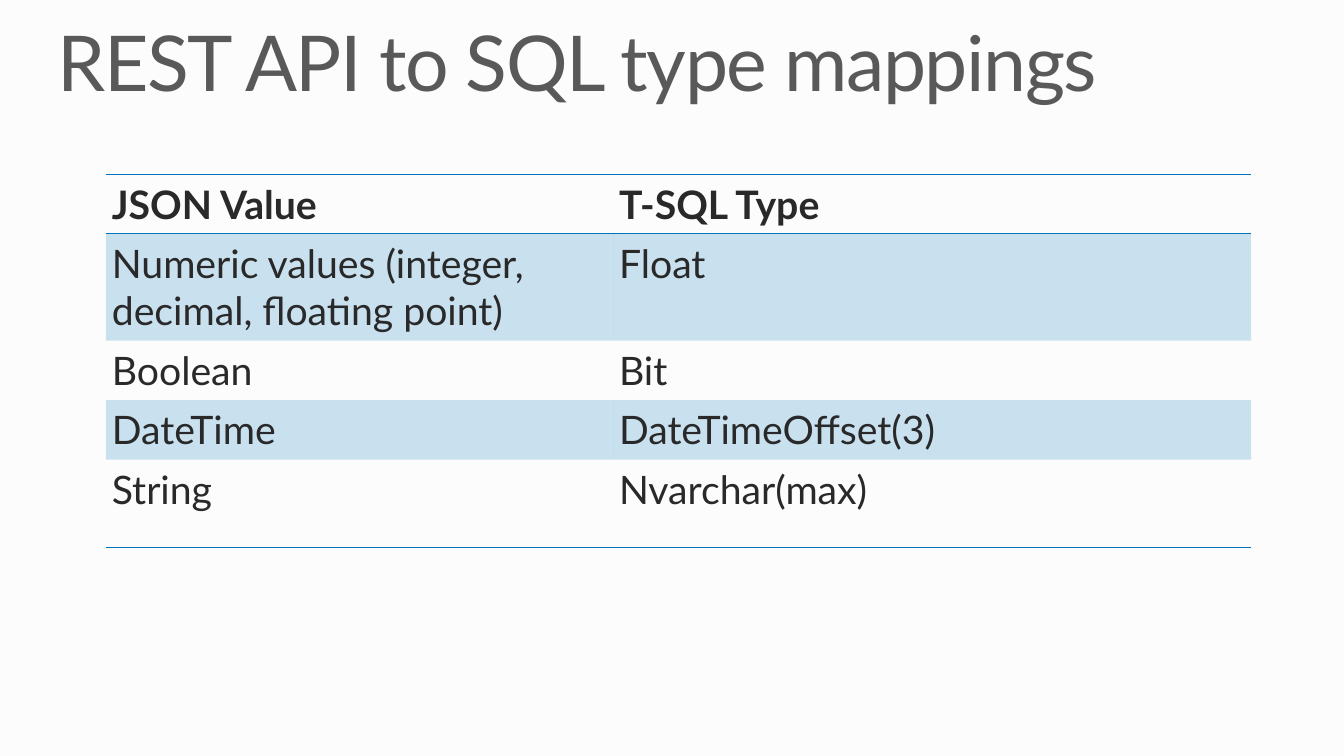
from lxml import etree
from pptx import Presentation
from pptx import util as u
from pptx.dml.color import RGBColor
from pptx.enum import text
from pptx.oxml import parse_xml
from pptx.oxml.ns import nsdecls, qn

PAPER = RGBColor(0xFC, 0xFC, 0xFC)
TITLE_GRAY = RGBColor(0x59, 0x59, 0x59)
INK = RGBColor(0x29, 0x29, 0x29)
BLUE = RGBColor(0x00, 0x71, 0xBC)

FONT = "Lato"
PLAIN_TABLE_STYLE = "{2D5ABB26-0587-4C30-8999-92F81FD0307C}"
COLUMN_WIDTHS = (5.03, 6.33)
ROW_HEIGHTS = (0.59, 1.06, 0.59, 0.59, 0.87)
CELL_INSET = u.Inches(0.06)
MAPPINGS = (
    ("JSON Value", "T-SQL Type"),
    ("Numeric values (integer, decimal, floating point)", "Float"),
    ("Boolean", "Bit"),
    ("DateTime", "DateTimeOffset(3)"),
    ("String", "Nvarchar(max)"),
)


def style_font(paragraph, size, color, bold=False):
    font = paragraph.font
    font.name, font.size, font.bold = FONT, u.Pt(size), bold
    font.color.rgb = color


def add_title(slide, wording):
    box = slide.shapes.add_textbox(
        u.Inches(0.57), u.Inches(0.25), u.Inches(12.19), u.Inches(0.83))
    frame = box.text_frame
    frame.word_wrap = True
    frame.auto_size = text.MSO_AUTO_SIZE.SHAPE_TO_FIT_TEXT
    frame.margin_left = frame.margin_right = 0
    frame.margin_top = frame.margin_bottom = 0
    heading = frame.paragraphs[0]
    run = heading.add_run()
    run.text = wording
    run.font._element.set("spc", "-100")
    heading.line_spacing = 0.9
    style_font(heading, 55, TITLE_GRAY)


def tint(cell):
    """Fill a cell with blue at 20 % opacity."""
    cell.fill.solid()
    cell.fill.fore_color.rgb = BLUE
    color = cell._tc.tcPr.find(qn("a:solidFill")).find(qn("a:srgbClr"))
    etree.SubElement(color, qn("a:alpha"), val="20000")


def rule(cell, sides):
    """Draw 1 pt blue borders; sides holds T and B in that order."""
    properties = cell._tc.get_or_add_tcPr()
    for position, side in enumerate(sides):
        properties.insert(position, parse_xml(
            f'<a:ln{side} {nsdecls("a")} w="12700"><a:solidFill>'
            f'<a:srgbClr val="{BLUE}"/></a:solidFill></a:ln{side}>'))


def add_mapping_table(slide, rows):
    frame = slide.shapes.add_table(
        len(rows), len(COLUMN_WIDTHS), u.Inches(1.05), u.Inches(1.73),
        u.Inches(sum(COLUMN_WIDTHS)), u.Inches(sum(ROW_HEIGHTS)))
    table = frame.table
    table.first_row = True
    table.horz_banding = False
    table._tbl.tblPr.find(qn("a:tableStyleId")).text = PLAIN_TABLE_STYLE
    for column, width in zip(table.columns, COLUMN_WIDTHS):
        column.width = u.Inches(width)
    for row, height in zip(table.rows, ROW_HEIGHTS):
        row.height = u.Inches(height)

    borders = {0: "TB", len(rows) - 1: "B"}
    for row_index, values in enumerate(rows):
        for column_index, value in enumerate(values):
            cell = table.cell(row_index, column_index)
            cell.text = value
            cell.margin_left = cell.margin_right = CELL_INSET
            cell.margin_top = cell.margin_bottom = CELL_INSET
            style_font(cell.text_frame.paragraphs[0], 28, INK,
                       bold=row_index == 0)
            if row_index % 2:
                tint(cell)
            else:
                cell.fill.background()
            rule(cell, borders.get(row_index, ""))


def main():
    deck = Presentation()
    deck.slide_width, deck.slide_height = u.Inches(13.33), u.Inches(7.5)
    slide = deck.slides.add_slide(deck.slide_layouts[6])
    slide.background.fill.solid()
    slide.background.fill.fore_color.rgb = PAPER
    add_title(slide, "REST API to SQL type mappings")
    add_mapping_table(slide, MAPPINGS)
    deck.save("out.pptx")


if __name__ == "__main__":
    main()
